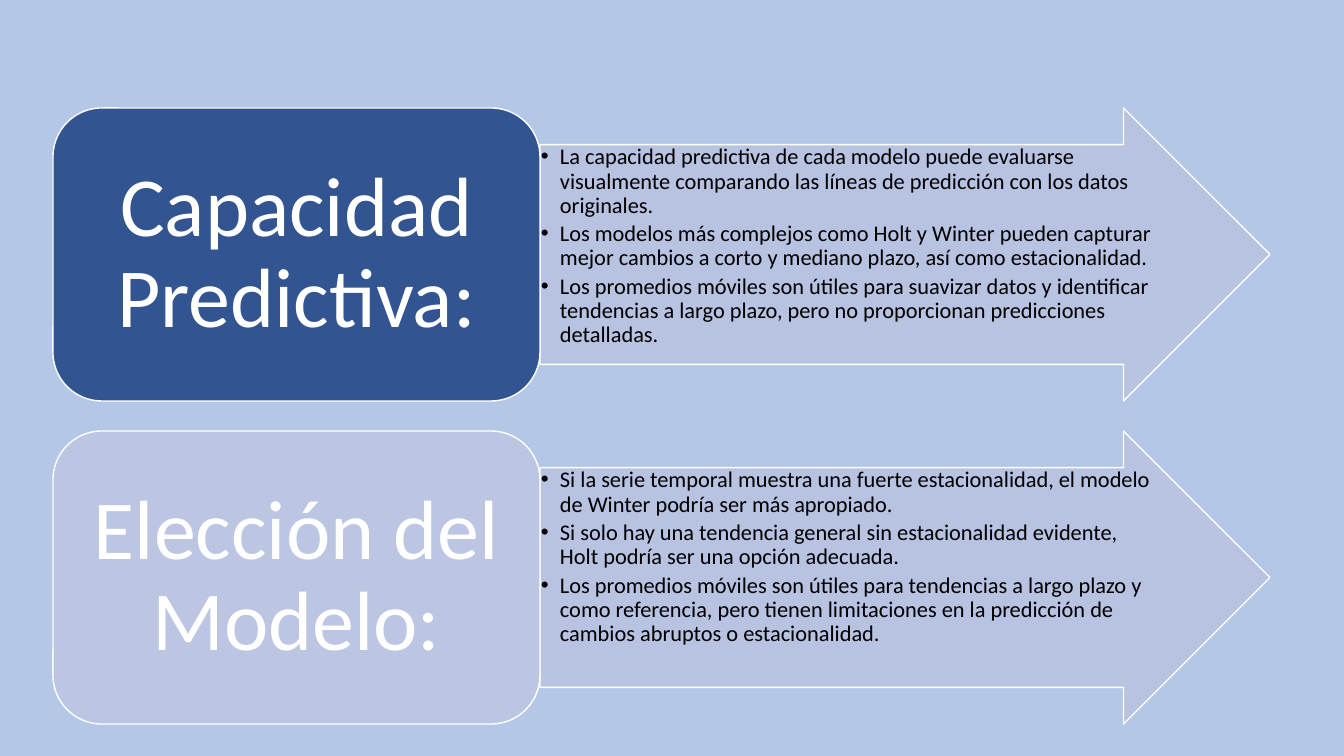
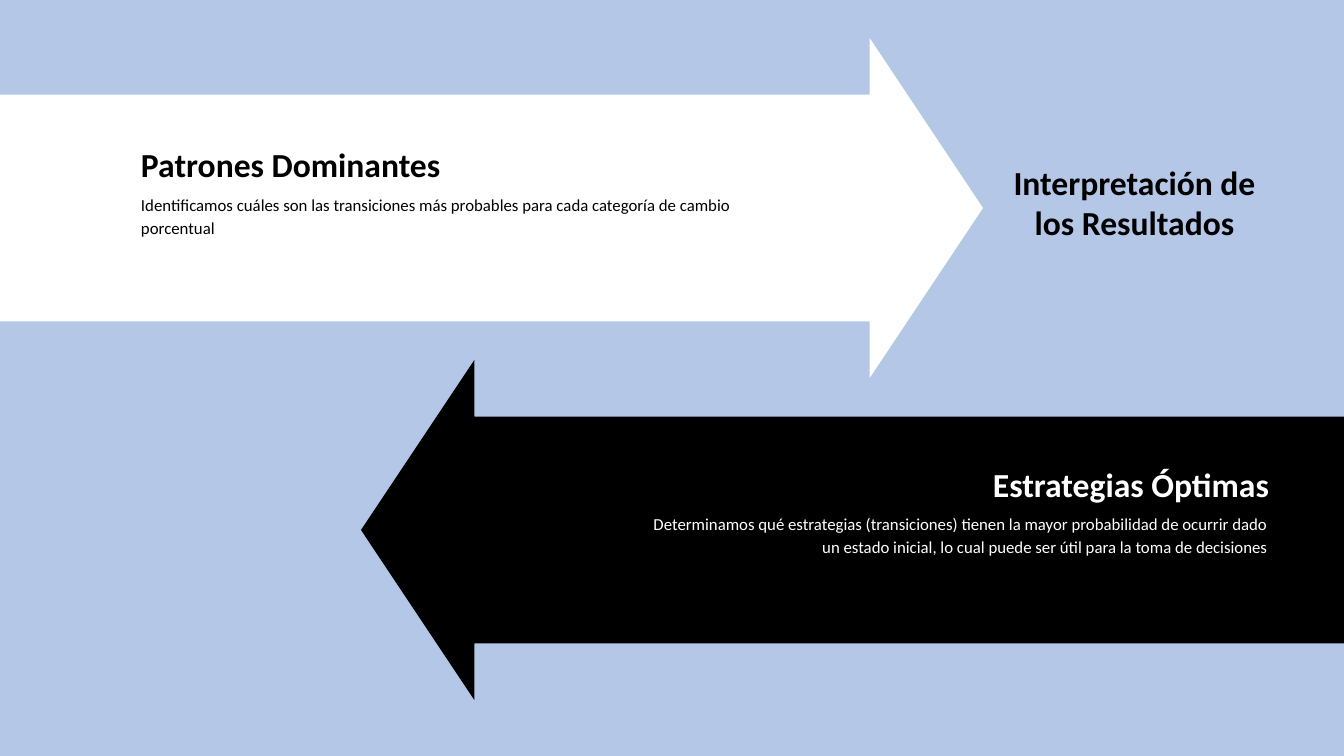
"""Build two slides on model choice and the interpretation of results."""
from lxml.etree import SubElement
from pptx import Presentation
from pptx.dml.color import RGBColor
from pptx.enum.shapes import MSO_SHAPE as Shape
from pptx.enum.text import MSO_ANCHOR as Anchor, MSO_AUTO_SIZE as AutoSize, PP_ALIGN as Align
from pptx.oxml.ns import qn
from pptx.util import Pt

SCALE = 12192000 / 1344
FONT = "Calibri"
SKY, WHITE, BLACK = "B4C7E7", "FFFFFF", "000000"
NAVY, LILAC, MIST = "325491", "BCC6E2", "B9C2E1"

TOPICS = [
    ("Capacidad Predictiva:", NAVY, [
        "La capacidad predictiva de cada modelo puede evaluarse visualmente comparando "
        "las líneas de predicción con los datos originales.",
        "Los modelos más complejos como Holt y Winter pueden capturar mejor cambios a "
        "corto y mediano plazo, así como estacionalidad.",
        "Los promedios móviles son útiles para suavizar datos y identificar tendencias a "
        "largo plazo, pero no proporcionan predicciones detalladas.",
    ]),
    ("Elección del Modelo:", LILAC, [
        "Si la serie temporal muestra una fuerte estacionalidad, el modelo de Winter "
        "podría ser más apropiado.",
        "Si solo hay una tendencia general sin estacionalidad evidente, Holt podría ser "
        "una opción adecuada.",
        "Los promedios móviles son útiles para tendencias a largo plazo y como referencia, "
        "pero tienen limitaciones en la predicción de cambios abruptos o estacionalidad.",
    ]),
]
TOPIC_LEFT, TOPIC_TOP, TOPIC_HEIGHT, TOPIC_GAP = 53, 108, 293, 30
LABEL_WIDTH, ARROW_WIDTH, BULLET_INDENT = 487, 730, 19

RESULTS_TITLE = "Interpretación de los Resultados"
RESULTS = [
    dict(arrow=Shape.RIGHT_ARROW, at=(0, 38), fill=WHITE, ink=BLACK, align=Align.LEFT,
         heading="Patrones Dominantes", heading_at=(141, 128, 351, 57),
         body="Identificamos cuáles son las transiciones más probables para cada "
              "categoría de cambio porcentual",
         body_at=(141, 192, 608, 46)),
    dict(arrow=Shape.LEFT_ARROW, at=(361, 360), fill=BLACK, ink=WHITE, align=Align.RIGHT,
         heading="Estrategias Óptimas", heading_at=(918, 448, 351, 57),
         body="Determinamos qué estrategias (transiciones) tienen la mayor probabilidad "
              "de ocurrir dado un estado inicial, lo cual puede ser útil para la toma de "
              "decisiones",
         body_at=(638, 511, 630, 46)),
]
RESULT_SIZE = (983, 340)


def px(length):
    return round(length * SCALE)


def color(value):
    return RGBColor.from_string(value)


def add_block(page, kind, at, fill, line=None, adjustments=()):
    block = page.shapes.add_shape(kind, *map(px, at))
    block.shadow.inherit = False
    block.fill.solid()
    block.fill.fore_color.rgb = color(fill)
    if line:
        block.line.color.rgb = color(line)
        block.line.width = Pt(1)
    else:
        block.line.fill.background()
    for index, value in enumerate(adjustments):
        block.adjustments[index] = value
    return block


def set_opacity(block, percent):
    tone = block.fill._xPr.find(qn("a:solidFill"))[0]
    SubElement(tone, qn("a:alpha"), val=str(percent * 1000))


def write(box, lines, size, ink, align=Align.LEFT, anchor=Anchor.TOP,
          inset=(0, 0), spacing=1.0, after=0, bold=False):
    frame = box.text_frame
    frame.word_wrap = True
    frame.auto_size = AutoSize.NONE
    frame.vertical_anchor = anchor
    frame.margin_left = frame.margin_right = px(inset[0])
    frame.margin_top = frame.margin_bottom = px(inset[1])
    frame.text = "\n".join(lines)
    for para in frame.paragraphs:
        para.alignment = align
        para.line_spacing = spacing
        para.space_after = Pt(after)
        for span in para.runs:
            span.font.name = FONT
            span.font.size = Pt(size)
            span.font.bold = bold
            span.font.color.rgb = color(ink)


def add_bullets(box):
    for para in box.text_frame.paragraphs:
        properties = para._p.get_or_add_pPr()
        properties.set("marL", str(px(BULLET_INDENT)))
        properties.set("indent", str(-px(BULLET_INDENT)))
        SubElement(properties, qn("a:buFont"), typeface="Arial")
        SubElement(properties, qn("a:buChar"), char="•")


def build_topics(deck):
    page = deck.slides.add_slide(deck.slide_layouts[6])
    for row, (label, fill, points) in enumerate(TOPICS):
        top = TOPIC_TOP + row * (TOPIC_HEIGHT + TOPIC_GAP)
        arrow = add_block(page, Shape.RIGHT_ARROW,
                          (TOPIC_LEFT + LABEL_WIDTH, top, ARROW_WIDTH, TOPIC_HEIGHT),
                          MIST, WHITE, (0.75, 0.5))
        set_opacity(arrow, 90)
        write(arrow, points, 16, BLACK, inset=(1, 1), spacing=0.9, after=3)
        add_bullets(arrow)
        card = add_block(page, Shape.ROUNDED_RECTANGLE,
                         (TOPIC_LEFT, top, LABEL_WIDTH, TOPIC_HEIGHT), fill, WHITE)
        write(card, [label], 60, WHITE, Align.CENTER, Anchor.MIDDLE, (25, 12), 0.9)


def build_results(deck):
    page = deck.slides.add_slide(deck.slide_layouts[5])
    title = page.shapes.title
    title.left, title.top, title.width, title.height = map(px, (1001, 162, 267, 122))
    write(title, [RESULTS_TITLE], 24, BLACK, Align.CENTER, bold=True)
    for result in RESULTS:
        add_block(page, result["arrow"], result["at"] + RESULT_SIZE, result["fill"],
                  adjustments=(2 / 3, 1 / 3))
        for part, size, spacing, bold in (("heading", 24, 1.4, True), ("body", 12, 1.15, False)):
            box = page.shapes.add_textbox(*map(px, result[part + "_at"]))
            write(box, [result[part]], size, result["ink"], result["align"],
                  spacing=spacing, bold=bold)


def main():
    deck = Presentation()
    deck.slide_width, deck.slide_height = px(1344), px(756)
    backdrop = deck.slide_master.background.fill
    backdrop.solid()
    backdrop.fore_color.rgb = color(SKY)
    build_topics(deck)
    build_results(deck)
    deck.save("out.pptx")


if __name__ == "__main__":
    main()
